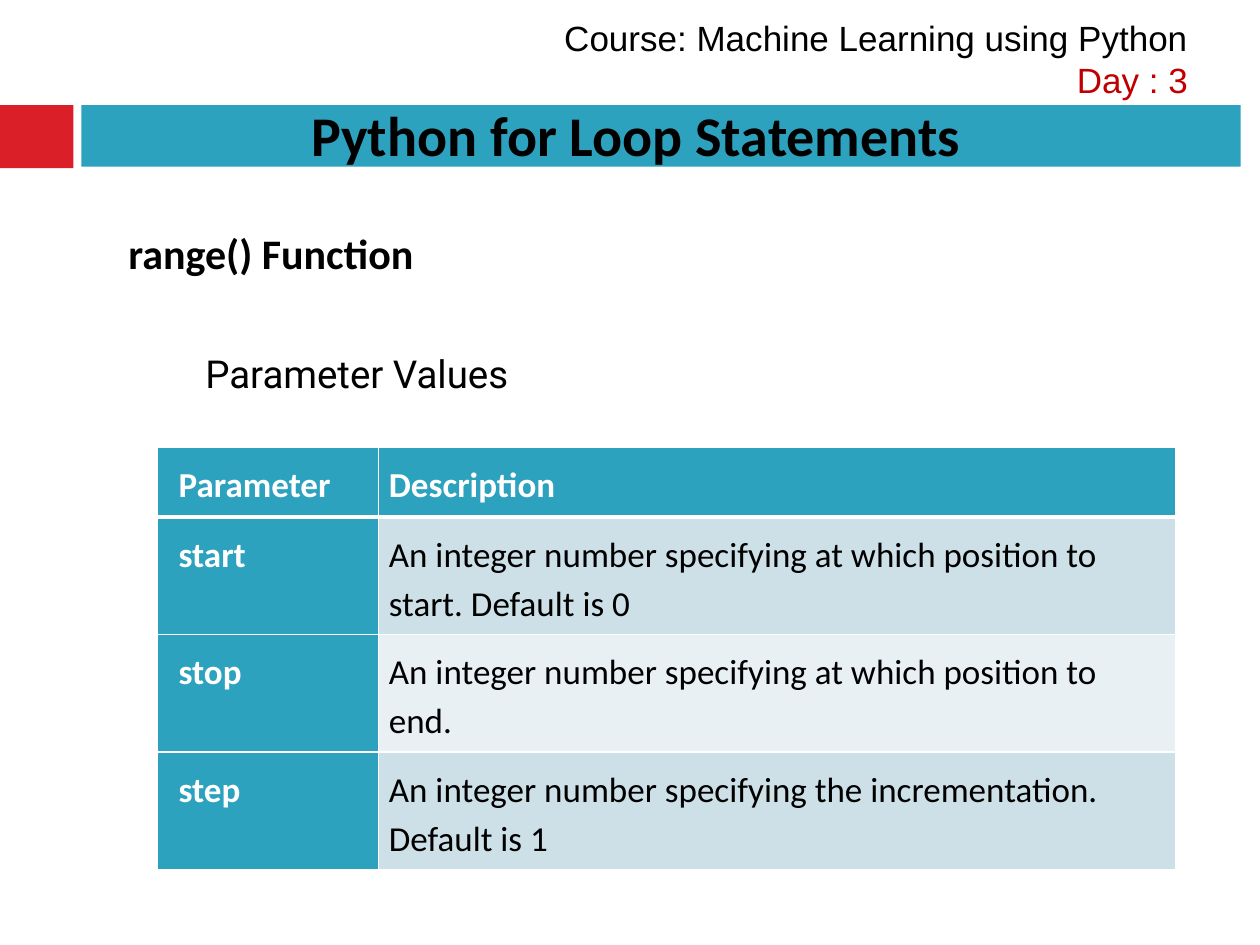
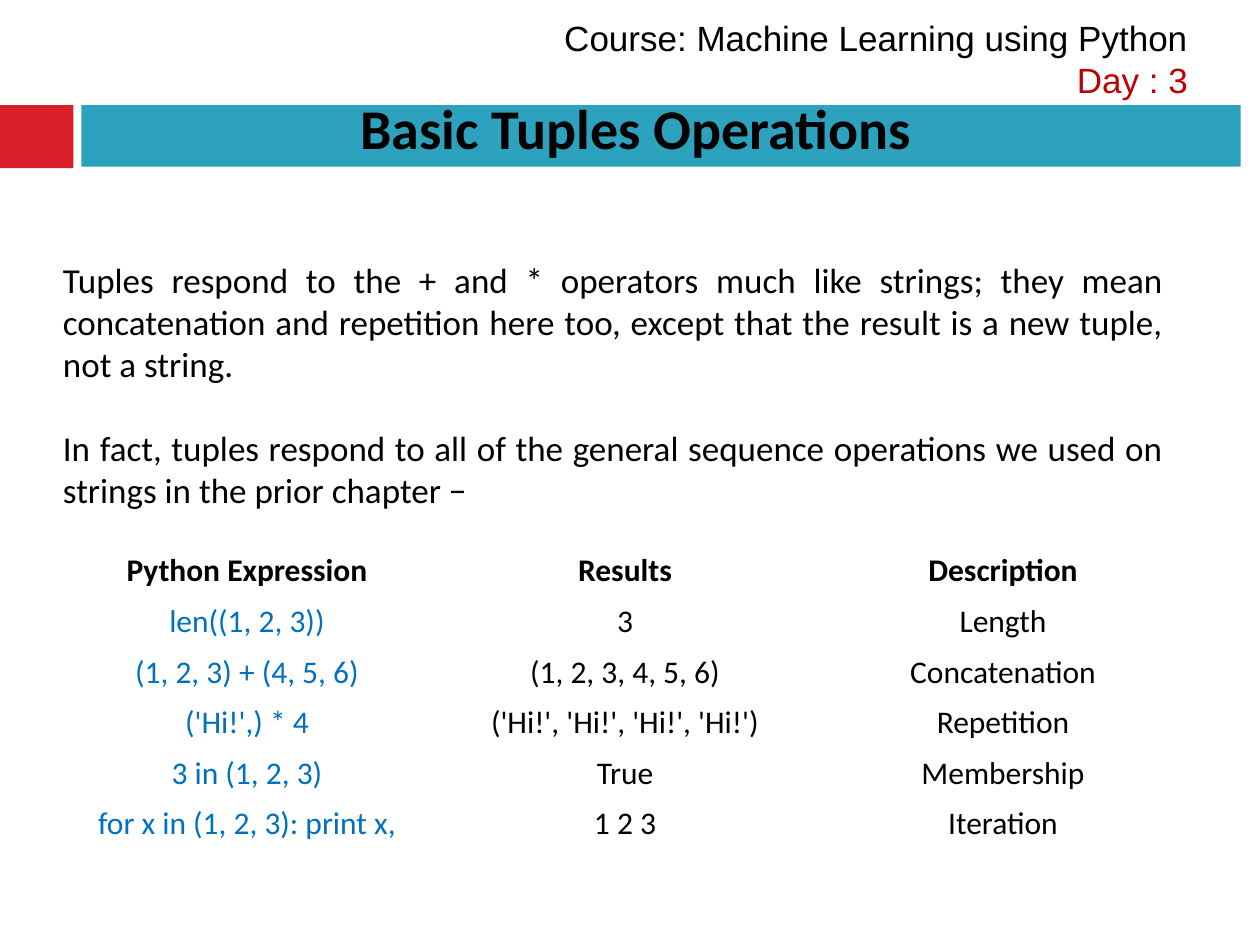
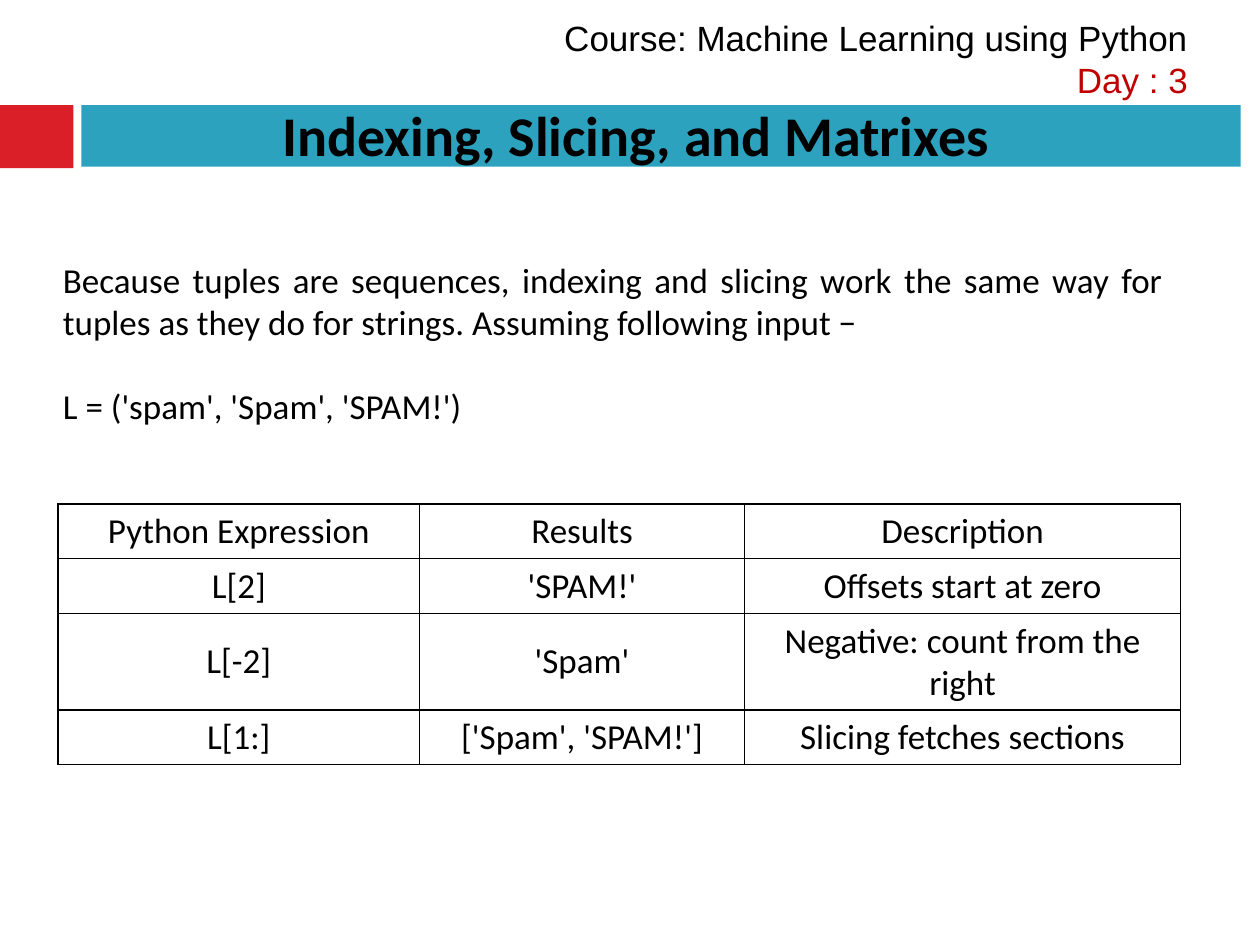
"""Builds three course slides on Python loops and tuples."""
import pptx
import pptx.dml.color
import pptx.enum.shapes
import pptx.enum.text
import pptx.util
from pptx.oxml import parse_xml
from pptx.oxml.ns import nsdecls

Cm = pptx.util.Cm
Pt = pptx.util.Pt
ALIGN = pptx.enum.text.PP_ALIGN
ANCHOR = pptx.enum.text.MSO_ANCHOR

BLACK, WHITE = "000000", "FFFFFF"
RED, TEAL = "DA1F28", "2DA2BF"
DAY_RED, CODE_BLUE = "C00000", "0070C0"
BANDS = ("CDE0E8", "E8F0F4")
FONT = "Calibri"


def color(value):
    """Return the colour object of a hex string."""
    return pptx.dml.color.RGBColor.from_string(value)


def style(p, size, hex_color=BLACK, bold=False, align=ALIGN.LEFT, name=FONT):
    """Format one paragraph."""
    p.alignment = align
    p.font.size = Pt(size)
    p.font.name = name
    p.font.bold = bold
    p.font.color.rgb = color(hex_color)


def add_band(s, left, width, height, fill):
    """Add a plain rectangle of the title band."""
    sp = s.shapes.add_shape(pptx.enum.shapes.MSO_SHAPE.RECTANGLE,
                            Cm(left), Cm(2.12), Cm(width), Cm(height))
    sp.shadow.inherit = False
    sp.fill.solid()
    sp.fill.fore_color.rgb = color(fill)
    sp.line.fill.background()


def add_text(s, box, lines, size, anchor=ANCHOR.TOP, gap=0, **look):
    """Add a wrapped text box and return its paragraphs."""
    tf = s.shapes.add_textbox(*map(Cm, box)).text_frame
    tf.word_wrap = True
    tf.vertical_anchor = anchor
    tf.text = "\n".join(lines)
    for p in tf.paragraphs:
        style(p, size, **look)
    for p in tf.paragraphs[:-1]:
        p.space_after = Pt(gap)
    return tf.paragraphs


def add_body(s, lines, height):
    """Add the justified body text with a line of space between paragraphs."""
    add_text(s, (1.02, 5.08, 22.68, height), lines, 20, gap=24.4,
             align=ALIGN.JUSTIFY)


def add_slide(prs, title, top=1.9):
    """Add a slide with the course header, the title band and the title."""
    s = prs.slides.add_slide(prs.slide_layouts[5])
    add_band(s, 0, 1.48, 1.27, RED)
    add_band(s, 1.64, 23.37, 1.24, TEAL)
    course, day = add_text(s, (10.59, 0.2, 13.61, 1.96),
                           ["Course: Machine Learning using Python", "Day : 3"],
                           20, align=ALIGN.RIGHT, name="Arial")
    day.font.color.rgb = color(DAY_RED)

    sp = s.shapes.title
    sp.element.getparent().append(sp.element)
    sp.left, sp.top, sp.width, sp.height = map(Cm, (1.07, top, 23.5, 1.62))
    tf = sp.text_frame
    tf.text = title
    tf.auto_size = pptx.enum.text.MSO_AUTO_SIZE.NONE
    tf.vertical_anchor = ANCHOR.TOP
    style(tf.paragraphs[0], 32, bold=True, align=ALIGN.CENTER)
    return s


def add_table(s, left, top, widths, heights, rows):
    """Add an unbanded table with its text and return it."""
    tbl = s.shapes.add_table(len(rows), len(widths), Cm(left), Cm(top),
                             Cm(sum(widths)), Cm(sum(heights))).table
    tbl.first_row = tbl.horz_banding = False
    for col, width in zip(tbl.columns, widths):
        col.width = Cm(width)
    for row, height, texts in zip(tbl.rows, heights, rows):
        row.height = Cm(height)
        for cell, text in zip(row.cells, texts):
            cell.text = text
            cell.fill.background()
    return tbl


def set_borders(cell, hex_color, top=1, bottom=1):
    """Draw the four borders of a cell, with widths in points."""
    tc_pr = cell._tc.get_or_add_tcPr()
    sides = (("L", 1), ("R", 1), ("T", top), ("B", bottom))
    for i, (side, width) in enumerate(sides):
        tc_pr.insert(i, parse_xml(
            f'<a:ln{side} {nsdecls("a")} w="{Pt(width)}"><a:solidFill>'
            f'<a:srgbClr val="{hex_color}"/></a:solidFill></a:ln{side}>'))


def format_parameters(tbl):
    """Give the parameter table its header row, header column and bands."""
    for i, row in enumerate(tbl.rows):
        for j, cell in enumerate(row.cells):
            header = i == 0 or j == 0
            set_borders(cell, WHITE, 3 if i == 1 else 1, 3 if i == 0 else 1)
            cell.fill.solid()
            cell.fill.fore_color.rgb = color(TEAL if header else BANDS[(i - 1) % 2])
            cell.margin_left = Cm(0.42 if j == 0 else 0.21)
            cell.margin_right = cell.margin_top = cell.margin_bottom = Cm(0.21)
            p = cell.text_frame.paragraphs[0]
            style(p, 20, WHITE if header else BLACK, header)
            p.line_spacing = 1.15


def format_centred(tbl, size, bold_header=False, code_color=BLACK, border=None):
    """Centre all cells and colour the expressions below the header."""
    for i, row in enumerate(tbl.rows):
        for j, cell in enumerate(row.cells):
            cell.vertical_anchor = ANCHOR.MIDDLE
            style(cell.text_frame.paragraphs[0], size,
                  code_color if i and j == 0 else BLACK,
                  bold_header and i == 0, ALIGN.CENTER)
            if border:
                set_borders(cell, border)


def add_range_slide(prs):
    """Add the slide on the parameters of range()."""
    s = add_slide(prs, "Python for Loop Statements")
    add_text(s, (2.34, 4.47, 21.39, 3), ["range()\u00a0Function"], 24, bold=True)
    tbl = add_table(s, 3.18, 9.02, (4.45, 16.08), (1.4, 2.36, 2.36, 2.36), [
        ("Parameter", "Description"),
        ("start", "An integer number specifying at which position to start. Default is 0"),
        ("stop", "An integer number specifying at which position to end."),
        ("step", "An integer number specifying the incrementation. Default is 1"),
    ])
    format_parameters(tbl)
    add_text(s, (3.89, 6.93, 11.51, 1.19), ["Parameter Values"], 22,
             ANCHOR.MIDDLE, name="Roboto")


def add_operations_slide(prs):
    """Add the slide on tuple operators."""
    s = add_slide(prs, "Basic Tuples Operations", top=1.75)
    add_body(s, [
        "Tuples respond to the + and * operators much like strings; they mean "
        "concatenation and repetition here too, except that the result is a new "
        "tuple, not a string.",
        "In fact, tuples respond to all of the general sequence operations we "
        "used on strings in the prior chapter −",
    ], 5.38)
    tbl = add_table(s, 1.17, 11, [7.62] * 3, [1.02] * 6, [
        ("Python Expression", "Results", "Description"),
        ("len((1, 2, 3))", "3", "Length"),
        ("(1, 2, 3) + (4, 5, 6)", "(1, 2, 3, 4, 5, 6)", "Concatenation"),
        ("('Hi!',) * 4", "('Hi!', 'Hi!', 'Hi!', 'Hi!')", "Repetition"),
        ("3 in (1, 2, 3)", "True", "Membership"),
        ("for x in (1, 2, 3): print x,", "1 2 3", "Iteration"),
    ])
    format_centred(tbl, 18, bold_header=True, code_color=CODE_BLUE)


def add_indexing_slide(prs):
    """Add the slide on indexing and slicing."""
    s = add_slide(prs, "Indexing, Slicing, and Matrixes")
    add_body(s, [
        "Because tuples are sequences, indexing and slicing work the same way "
        "for tuples as they do for strings. Assuming following input −",
        "L = ('spam', 'Spam', 'SPAM!')",
    ], 3.68)
    tbl = add_table(s, 1.17, 10.16, (7.29, 6.55, 8.79), (1.1, 1.1, 1.95, 1.1), [
        ("Python Expression", "Results", "Description"),
        ("L[2]", "'SPAM!'", "Offsets start at zero"),
        ("L[-2]", "'Spam'", "Negative: count from the right"),
        ("L[1:]", "['Spam', 'SPAM!']", "Slicing fetches sections"),
    ])
    format_centred(tbl, 20, border=BLACK)


def main():
    """Build and save the presentation."""
    prs = pptx.Presentation()
    prs.slide_width, prs.slide_height = Cm(25.4), Cm(19.05)
    add_range_slide(prs)
    add_operations_slide(prs)
    add_indexing_slide(prs)
    prs.save("out.pptx")


if __name__ == "__main__":
    main()
